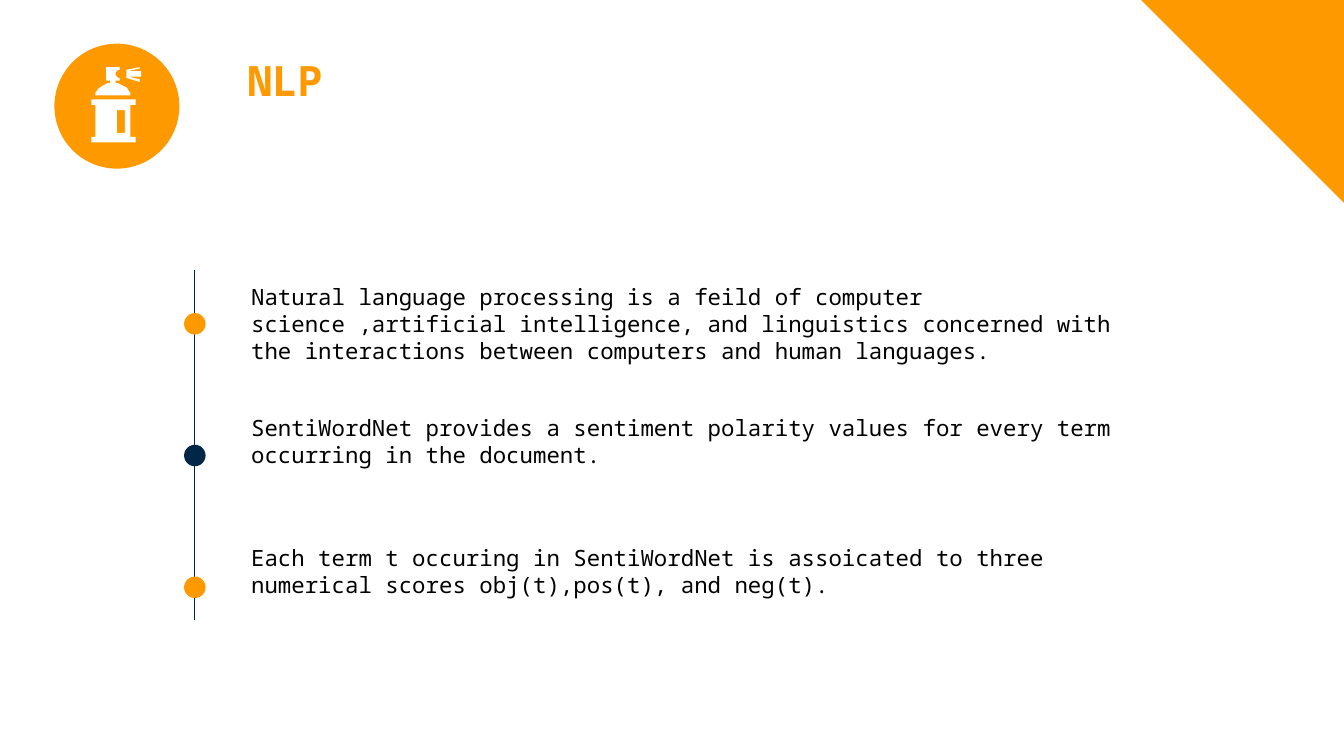
"""Builds an NLP slide with a spray-can badge and a three-step timeline."""
from typing import NamedTuple

from lxml.etree import SubElement
from pptx import Presentation
from pptx.dml.color import RGBColor
from pptx.enum.shapes import MSO_CONNECTOR, MSO_SHAPE
from pptx.enum.text import MSO_ANCHOR, PP_ALIGN
from pptx.oxml.ns import qn
from pptx.util import Emu, Inches, Pt

COLORS = {"orange": "FF9900", "navy": "002748", "white": "FFFFFF", "black": "000000"}
FONT = "Noto Sans Mono"
COLS, ROWS = 100, 56.25
CELL = Inches(10) // COLS
AXIS, DOT, FIRST_DOT, DOT_STEP = 14.5, 1.6, 24.1, 9.8
TEXT_LEFT, FIRST_TEXT, TEXT_STEP = 17.7, 20.6, 9.7

SPRAY_CAN = [
    [(97, 78), (97, 102), (101, 102), (101, 106), (68, 106), (68, 102),
     (71, 102), (71, 78), (68, 78), (68, 74), (101, 74), (101, 78)],
    [(93, 82), (87, 82), (87, 99), (93, 99)],
    [(104, 59), (95, 57), (105, 57), (105, 53), (95, 53), (104, 51),
     (104, 50), (94, 52), (94, 58), (104, 61)],
    [(86, 60), (86, 62), (88, 62), (90, 63), (92, 64), (94, 65), (95, 66),
     (96, 68), (97, 69), (97, 71), (71, 71), (71, 69), (72, 68), (73, 66),
     (75, 65), (76, 64), (78, 63), (80, 62), (82, 62), (82, 60), (79, 60),
     (79, 50), (89, 50), (89, 52), (88, 52), (87, 53), (86, 54), (86, 56),
     (87, 57), (88, 58), (89, 58), (89, 60)],
]


class Step(NamedTuple):
    """A timeline entry with the colour of its dot."""
    text: str
    color: str


STEPS = [
    Step("Natural language processing is a feild of computer science ,artificial "
         "intelligence, and linguistics concerned with the interactions between "
         "computers and human languages.", "orange"),
    Step("SentiWordNet provides a sentiment polarity values for every term "
         "occurring in the document.", "navy"),
    Step("Each term t occuring in SentiWordNet is assoicated to three numerical "
         "scores obj(t),pos(t), and neg(t).", "orange"),
]


def grid(*cells: float) -> list[Emu]:
    """Turn grid cells into lengths."""
    return [Emu(round(c * CELL)) for c in cells]


def rgb(name: str) -> RGBColor:
    """Look up a named colour."""
    return RGBColor.from_string(COLORS[name])


def paint(s, color: str) -> None:
    """Give a shape a flat fill without line or shadow."""
    s.shadow.inherit = False
    s.fill.solid()
    s.fill.fore_color.rgb = rgb(color)
    s.line.fill.background()


def add_flat(shapes, kind: MSO_SHAPE, color: str, *box: float):
    """Add a flat preset shape."""
    s = shapes.add_shape(kind, *grid(*box))
    paint(s, color)
    return s


def add_badge(shapes) -> None:
    """Draw the spray can, in tenths of a cell, on its disc as one group."""
    group = shapes.add_group_shape().shapes
    add_flat(group, MSO_SHAPE.OVAL, "orange", 4.05, 3.25, 9.3, 9.3)
    start, *rest = SPRAY_CAN
    fb = group.build_freeform(*start[0], scale=CELL / 10)
    fb.add_line_segments(start[1:])
    for outline in rest:
        fb.move_to(*outline[0])
        fb.add_line_segments(outline[1:])
    paint(fb.convert_to_shape(), "white")


def style(p, size: float, color: str, bold: bool = False) -> None:
    """Set a paragraph's alignment and font."""
    p.alignment = PP_ALIGN.LEFT
    p.font.name, p.font.size, p.font.bold = FONT, Pt(size), bold
    p.font.color.rgb = rgb(color)


def add_title(s) -> None:
    """Place and format the title in small capitals."""
    s.left, s.top, s.width, s.height = grid(17.8, 3, 59.8, 5.3)
    tf = s.text_frame
    tf.margin_left = tf.margin_right = Inches(0.06)
    tf.margin_top = tf.margin_bottom = Inches(0.03)
    tf.vertical_anchor = MSO_ANCHOR.TOP
    p = tf.paragraphs[0]
    r = p.add_run()
    r.text = "nlp"
    style(p, 28, "orange", bold=True)
    r.font._element.set("cap", "small")


def add_axis(shapes) -> None:
    """Draw the vertical timeline."""
    s = shapes.add_connector(MSO_CONNECTOR.STRAIGHT, *grid(AXIS, 20.1, AXIS, 46.1))
    s.line.color.rgb = rgb("navy")
    s.line.width = Pt(0.5)
    SubElement(s._element.spPr, qn("a:effectLst"))


def add_step(shapes, i: int, step: Step) -> None:
    """Add the dot and the text of one step."""
    center = FIRST_DOT + i * DOT_STEP
    add_flat(shapes, MSO_SHAPE.OVAL, step.color, AXIS - DOT / 2, center - DOT / 2, DOT, DOT)
    s = shapes.add_textbox(*grid(TEXT_LEFT, FIRST_TEXT + i * TEXT_STEP, 68.7, 10.1))
    tf = s.text_frame
    tf.word_wrap = True
    p = tf.paragraphs[0]
    p.text = step.text
    p.line_spacing = Pt(14.4)
    style(p, 12, "black")


def main() -> None:
    """Build and save the slide."""
    prs = Presentation()
    prs.slide_width, prs.slide_height = grid(COLS, ROWS)
    slide = prs.slides.add_slide(prs.slide_layouts[5])
    shapes = slide.shapes
    add_title(shapes.title)
    add_badge(shapes)
    corner = add_flat(shapes, MSO_SHAPE.RIGHT_TRIANGLE, "orange", 84.8, -0.1, 15.4, 15.4)
    corner.rotation = 180
    add_axis(shapes)
    for i, step in enumerate(STEPS):
        add_step(shapes, i, step)
    prs.save("out.pptx")


if __name__ == "__main__":
    main()
